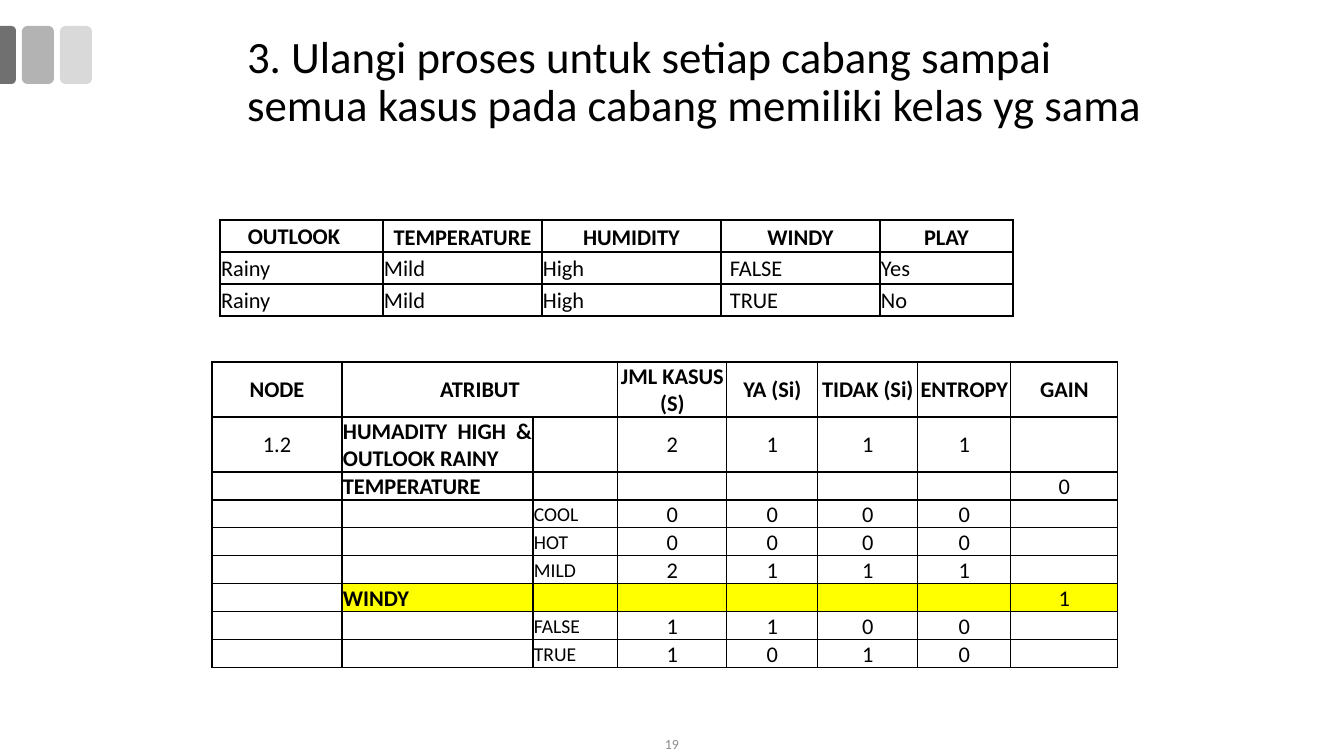
from pptx import Presentation, util as u
from pptx.dml.color import RGBColor
from pptx.enum import shapes, text
from pptx.oxml import parse_xml
from pptx.oxml.ns import nsdecls

FONT = "Calibri"
LEFT, CENTER = text.PP_ALIGN.LEFT, text.PP_ALIGN.CENTER
MIDDLE, BOTTOM = text.MSO_ANCHOR.MIDDLE, text.MSO_ANCHOR.BOTTOM


def px(*lengths):
    """Lengths in px as a list of EMU, at 100.8 px to the inch."""
    return [u.Emu(round(n * 914400 / 100.8)) for n in lengths]


def write(frame, words, size, color="000000", bold=False, align=LEFT):
    frame.text = words
    paragraph = frame.paragraphs[0]
    paragraph.alignment = align
    for run in paragraph.runs:
        run.font.name = FONT
        run.font.size = u.Pt(size)
        run.font.bold = bold
        run.font.color.rgb = RGBColor.from_string(color)
    return paragraph


prs = Presentation()
prs.slide_width, prs.slide_height = px(1344, 756)
slide = prs.slides.add_slide(prs.slide_layouts[5])

# Corner tabs
ROUND, ROUND_TOP = shapes.MSO_SHAPE.ROUNDED_RECTANGLE, shapes.MSO_SHAPE.ROUND_2_SAME_RECTANGLE
for kind, box, color in [
    (ROUND, (60, 26, 32, 58), "D9D9D9"),
    (ROUND, (22, 26, 32, 58), "B3B3B3"),
    (ROUND_TOP, (-21, 47, 58, 16), "707070"),
]:
    tab = slide.shapes.add_shape(kind, *px(*box))
    tab.shadow.inherit = False
    tab.fill.solid()
    tab.fill.fore_color.rgb = RGBColor.from_string(color)
    tab.line.fill.background()
    if kind == ROUND_TOP:
        tab.rotation = 90
        tab.adjustments[0] = 0.29

# Title and page number
title = slide.shapes.title
title.left, title.top, title.width, title.height = px(237, 17, 938, 132)
heading = write(
    title.text_frame,
    "3. Ulangi proses untuk setiap cabang sampai semua kasus pada cabang memiliki kelas yg sama",
    32,
)
heading.line_spacing = 0.9
title.text_frame.vertical_anchor = MIDDLE
title.text_frame.auto_size = text.MSO_AUTO_SIZE.NONE

page = slide.shapes.add_textbox(*px(521, 731, 302, 25)).text_frame
page.word_wrap = True
page.vertical_anchor = MIDDLE
write(page, "19", 10, "8C8C8C", align=CENTER)

# Tables
cases = [
    ["OUTLOOK", "TEMPERATURE", "HUMIDITY", "WINDY", "PLAY"],
    ["Rainy", "Mild", "High", "FALSE", "Yes"],
    ["Rainy", "Mild", "High", "TRUE", "No"],
]
gains = [
    ["NODE", "ATRIBUT", "", "JML KASUS (S)", "YA (Si)", "TIDAK (Si)", "ENTROPY", "GAIN"],
    ["1.2", "HUMADITY HIGH & OUTLOOK RAINY", "", "2", "1", "1", "1", ""],
    ["", "TEMPERATURE", "", "", "", "", "", "0"],
    ["", "", "COOL", "0", "0", "0", "0", ""],
    ["", "", "HOT", "0", "0", "0", "0", ""],
    ["", "", "MILD", "2", "1", "1", "1", ""],
    ["", "WINDY", "", "", "", "", "", "1"],
    ["", "", "FALSE", "1", "1", "0", "0", ""],
    ["", "", "TRUE", "1", "0", "1", "0", ""],
]
tables = []
for rows, left, top, widths, heights, left_columns in [
    (cases, 220, 220, [163, 159, 179, 159, 133], [32] * 3, range(5)),
    (gains, 212, 362, [130, 191, 85, 109, 91, 100, 93, 107], [55] * 2 + [28] * 7, (1, 2)),
]:
    table = slide.shapes.add_table(
        len(rows), len(widths), *px(left, top, sum(widths), sum(heights))
    ).table
    tables.append(table)
    for column, width in zip(table.columns, px(*widths)):
        column.width = width
    for row, height in zip(table.rows, px(*heights)):
        row.height = height
    for r, values in enumerate(rows):
        for c, value in enumerate(values):
            cell = table.cell(r, c)
            for side in "LRTB":
                cell._tc.get_or_add_tcPr().append(parse_xml(
                    f'<a:ln{side} {nsdecls("a")} w="12700"><a:solidFill>'
                    f'<a:srgbClr val="000000"/></a:solidFill></a:ln{side}>'))
            highlighted = rows is gains and values[1] == "WINDY" and r > 0 and c > 0
            cell.fill.solid()
            cell.fill.fore_color.rgb = RGBColor.from_string("FFFF00" if highlighted else "FFFFFF")
            cell.margin_left, cell.margin_right, cell.margin_top, cell.margin_bottom = px(1, 1, 1, 0)
            cell.vertical_anchor = BOTTOM if rows is cases and r == 0 and c > 0 else MIDDLE
            header = r == 0
            paragraph = write(
                cell.text_frame, value,
                14 if rows is gains and c == 2 else 16,
                bold=header or (rows is gains and c == 1),
                align=LEFT if c in left_columns and not header else CENTER,
            )
            if not value:
                paragraph._p.get_or_add_endParaRPr().set("sz", "1200")

case_table, gain_table = tables
case_table.cell(0, 0).margin_right = px(16)[0]
for r in (1, 2):
    case_table.cell(r, 3).margin_left = px(9)[0]
gain_table.cell(0, 1).merge(gain_table.cell(0, 2))
gain_table.cell(1, 1).text_frame.paragraphs[0].alignment = text.PP_ALIGN.JUSTIFY

prs.save("out.pptx")
